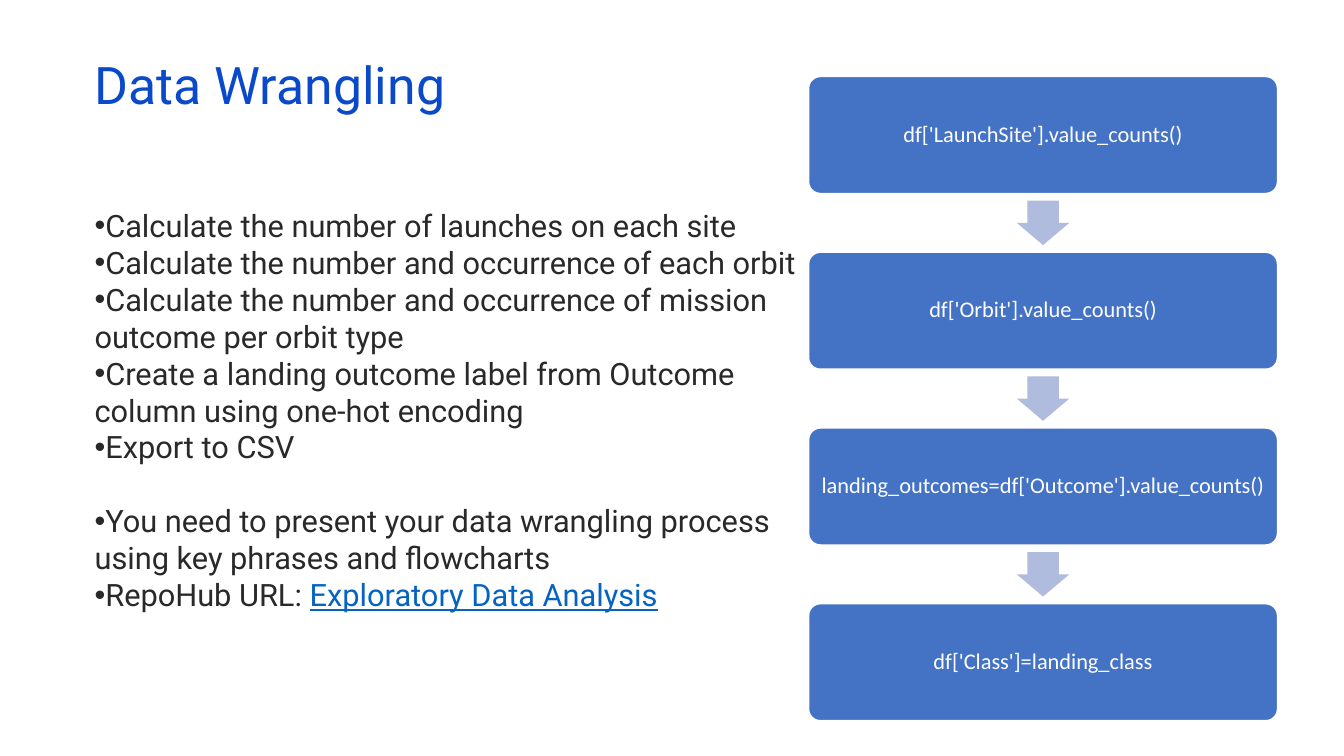
from dataclasses import dataclass

from lxml.etree import SubElement
from pptx import Presentation
from pptx.dml.color import RGBColor
from pptx.enum.shapes import MSO_SHAPE
from pptx.enum.text import MSO_ANCHOR, PP_ALIGN
from pptx.oxml.ns import qn
from pptx.util import Inches, Pt


@dataclass(frozen=True)
class Theme:
    title: RGBColor = RGBColor.from_string("0B49CB")
    body: RGBColor = RGBColor.from_string("292929")
    link: RGBColor = RGBColor.from_string("0563C1")
    node: RGBColor = RGBColor.from_string("4472C4")
    arrow: RGBColor = RGBColor.from_string("B0BCDE")
    white: RGBColor = RGBColor.from_string("FFFFFF")
    text_font: str = "Roboto"
    node_font: str = "Calibri"
    title_size: Pt = Pt(37)
    body_size: Pt = Pt(22)
    body_line: Pt = Pt(26.4)
    node_size: Pt = Pt(16)


THEME = Theme()

TASKS = [
    "Calculate the number of launches on each site",
    "Calculate the number and occurrence of each orbit",
    "Calculate the number and occurrence of mission outcome per orbit type",
    "Create a landing outcome label from Outcome column using one-hot encoding",
    "Export to CSV",
]
NOTES = [
    "You need to present your data wrangling process using key phrases and flowcharts",
    "RepoHub URL: ",
]
LINK = "Exploratory Data Analysis"
STEPS = [
    "df['LaunchSite'].value_counts()",
    "df['Orbit'].value_counts()",
    "landing_outcomes=df['Outcome'].value_counts()",
    "df['Class']=landing_class",
]


def add_run(p, text, font, size, color):
    r = p.add_run()
    r.text = text
    r.font.name = font
    r.font.size = size
    r.font.color.rgb = color
    return r


def add_text_box(s, x, y, w, h):
    tf = s.shapes.add_textbox(Inches(x), Inches(y), Inches(w), Inches(h)).text_frame
    tf.word_wrap = True
    return tf


def add_block(s, kind, x, y, w, h, fill):
    sp = s.shapes.add_shape(kind, Inches(x), Inches(y), Inches(w), Inches(h))
    sp.shadow.inherit = False
    sp.fill.solid()
    sp.fill.fore_color.rgb = fill
    return sp


def add_title(s, x, y, w, h):
    tf = add_text_box(s, x, y, w, h)
    tf.vertical_anchor = MSO_ANCHOR.MIDDLE
    p = tf.paragraphs[0]
    p.line_spacing = 0.8
    add_run(p, "Data Wrangling", THEME.text_font, THEME.title_size, THEME.title)


def add_bullets(s, x, y, w, h):
    tf = add_text_box(s, x, y, w, h)
    for i, text in enumerate(TASKS + NOTES):
        p = tf.paragraphs[0] if i == 0 else tf.add_paragraph()
        p.line_spacing = THEME.body_line
        if i == len(TASKS):
            p.space_before = THEME.body_line
        pPr = p._p.get_or_add_pPr()
        pPr.set("marL", "0")
        pPr.set("indent", "0")
        SubElement(pPr, qn("a:buFont")).set("typeface", "Arial")
        SubElement(pPr, qn("a:buChar")).set("char", "•")
        add_run(p, text, THEME.text_font, THEME.body_size, THEME.body)
    r = add_run(p, LINK, THEME.text_font, THEME.body_size, THEME.link)
    r.font.underline = True


def add_flowchart(s, x, y, w, h):
    node_h = 1.16
    arrow_w, arrow_h = 0.52, 0.44
    pitch = (h - node_h) / (len(STEPS) - 1)
    for i, step in enumerate(STEPS):
        top = y + i * pitch
        node = add_block(s, MSO_SHAPE.ROUNDED_RECTANGLE, x, top, w, node_h, THEME.node)
        node.adjustments[0] = 0.1
        node.line.color.rgb = THEME.white
        node.line.width = Pt(1)
        tf = node.text_frame
        tf.word_wrap = True
        tf.vertical_anchor = MSO_ANCHOR.MIDDLE
        tf.margin_left = tf.margin_right = Inches(0.07)
        p = tf.paragraphs[0]
        p.alignment = PP_ALIGN.CENTER
        p.line_spacing = 0.9
        add_run(p, step, THEME.node_font, THEME.node_size, THEME.white)
        if i < len(STEPS) - 1:
            arrow_x = x + (w - arrow_w) / 2
            arrow_y = top + (node_h + pitch - arrow_h) / 2
            arrow = add_block(s, MSO_SHAPE.DOWN_ARROW, arrow_x, arrow_y,
                              arrow_w, arrow_h, THEME.arrow)
            arrow.adjustments[0] = 0.6
            arrow.adjustments[1] = 0.5
            arrow.line.fill.background()


def main():
    prs = Presentation()
    prs.slide_width = Inches(13.33)
    prs.slide_height = Inches(7.5)
    s = prs.slides.add_slide(prs.slide_layouts[6])
    add_bullets(s, 0.84, 2, 7.24, 4.76)
    add_title(s, 0.84, 0.59, 11.5, 0.6)
    add_flowchart(s, 8.02, 0.76, 4.65, 6.39)
    prs.save("out.pptx")


if __name__ == "__main__":
    main()
